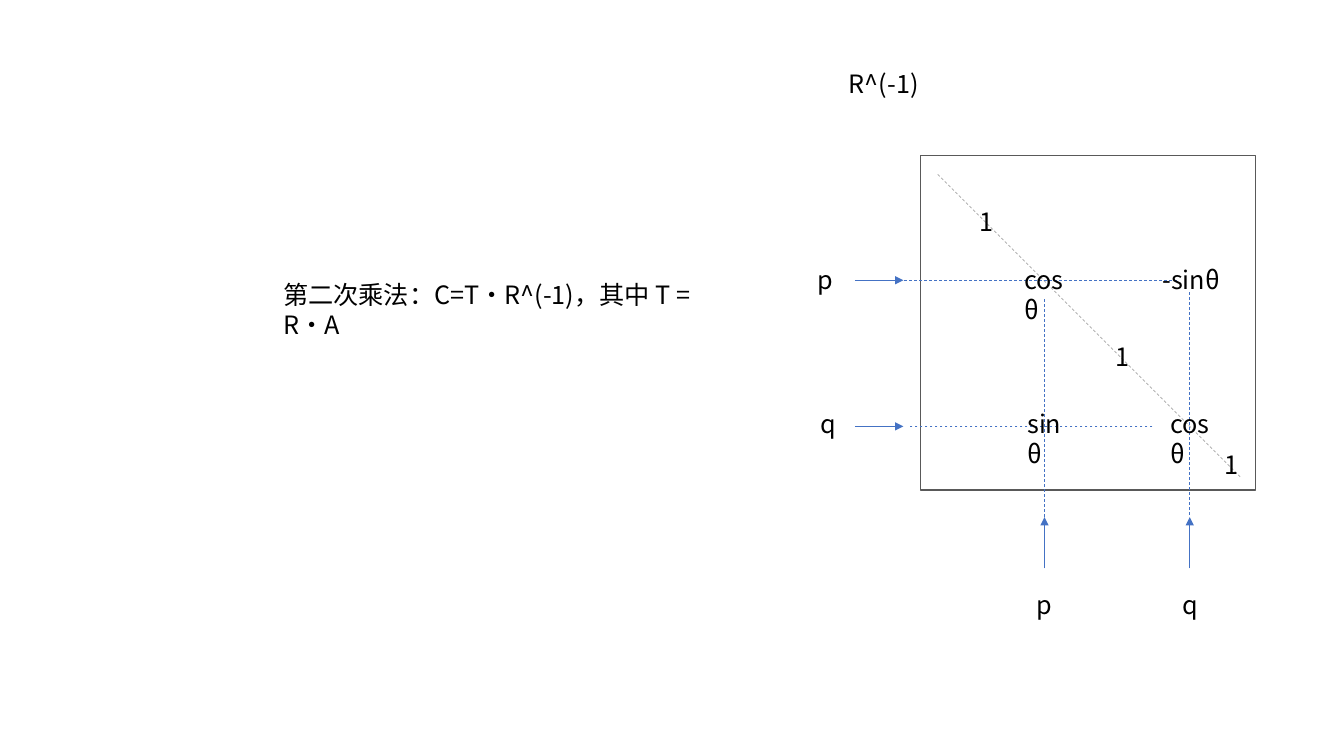
from dataclasses import dataclass

from lxml import etree
from pptx import Presentation
from pptx.dml.color import RGBColor
from pptx.enum.dml import MSO_LINE
from pptx.enum.shapes import MSO_CONNECTOR, MSO_SHAPE
from pptx.enum.text import MSO_AUTO_SIZE
from pptx.oxml.ns import qn
from pptx.util import Inches, Pt

DASH = MSO_LINE.DASH
STRAIGHT = MSO_CONNECTOR.STRAIGHT
RECT = MSO_SHAPE.RECTANGLE
GROW = MSO_AUTO_SIZE.SHAPE_TO_FIT_TEXT
BLANK = 6


@dataclass(frozen=True)
class Theme:
    """Colours, type and line widths of the slide."""
    font: str = "Noto Sans CJK SC"
    size: float = 18
    ink: str = "000000"
    frame: str = "595959"
    guide: str = "4472C4"
    diag: str = "A5A5A5"
    thin: float = 0.5
    edge: float = 1


THEME = Theme()

# Centre lines of the p and q columns and rows
COLS = {"p": 10.36, "q": 11.8}
ROWS = {"p": 2.78, "q": 4.23}
ARROW_X = (8.48, 8.96)
ARROW_Y = (5.64, 5.13)
ROW_TOPS = {"p": 2.57, "q": 4}
LABEL_H = 0.4

# Dashed guides: top of each column, both ends of each row
COL_TOPS = {"p": 2.97, "q": 2.9}
ROW_ENDS = {"p": (11.67, 8.96), "q": (11.43, 9)}

# Left, top, width and text
LABELS = [
    (2.71, 2.72, 4.57, "第二次乘法：C=T·R^(-1)，其中 T = R·A"),
    (8.32, 0.63, 0.92, "R^(-1)"),
    (10.18, 5.8, 0.35, "p"),
    (11.63, 5.8, 0.28, "q"),
    (8.01, ROW_TOPS["p"], 0.35, "p"),
    (8.04, ROW_TOPS["q"], 0.28, "q"),
    (10.06, ROW_TOPS["p"], 0.71, "cosθ"),
    (11.43, ROW_TOPS["p"], 0.77, "-sinθ"),
    (10.09, ROW_TOPS["q"], 0.64, "sinθ"),
    (11.51, ROW_TOPS["q"], 0.71, "cosθ"),
    (9.62, 2, 0.34, "1"),
    (10.97, 3.34, 0.34, "1"),
    (12.05, 4.41, 0.34, "1"),
]


def add_label(slide, left, top, width, text):
    """Add a wrapped text box with one run."""
    box = slide.shapes.add_textbox(
        Inches(left), Inches(top), Inches(width), Inches(LABEL_H))
    frame = box.text_frame
    frame.word_wrap = True
    frame.auto_size = GROW
    run = frame.paragraphs[0].add_run()
    run.text = text
    run.font.name = THEME.font
    run.font.size = Pt(THEME.size)
    run.font.color.rgb = RGBColor.from_string(THEME.ink)
    east = etree.SubElement(run.font._element, qn("a:ea"))
    east.set("typeface", THEME.font)


def add_line(slide, start, end, color=THEME.guide, dash=False, arrow=False):
    """Add a thin line, dashed or with a triangle at its end."""
    line = slide.shapes.add_connector(
        STRAIGHT, *(Inches(v) for v in (*start, *end)))
    line.line.width = Pt(THEME.thin)
    line.line.color.rgb = RGBColor.from_string(color)
    if dash:
        line.line.dash_style = DASH
    if arrow:
        tail = etree.SubElement(line.line._get_or_add_ln(), qn("a:tailEnd"))
        tail.set("type", "triangle")
    etree.SubElement(line._element.spPr, qn("a:effectLst"))


def add_frame(slide):
    """Add the square outline of the matrix and its diagonal."""
    box = slide.shapes.add_shape(
        RECT, Inches(9.13), Inches(1.54), Inches(3.32), Inches(3.32))
    box.shadow.inherit = False
    box.fill.background()
    box.line.color.rgb = RGBColor.from_string(THEME.frame)
    box.line.width = Pt(THEME.edge)
    add_line(slide, (9.3, 1.73), (12.3, 4.73), THEME.diag, dash=True)


def add_guides(slide):
    """Mark the p and q columns and rows with arrows and dashes."""
    low, high = ARROW_Y
    for key, x in COLS.items():
        add_line(slide, (x, low), (x, high), arrow=True)
        add_line(slide, (x, COL_TOPS[key]), (x, high), dash=True)
    left, right = ARROW_X
    for key, y in ROWS.items():
        start, end = ROW_ENDS[key]
        add_line(slide, (start, y), (end, y), dash=True)
        add_line(slide, (left, y), (right, y), arrow=True)


def main():
    """Build the slide and save it."""
    deck = Presentation()
    deck.slide_width = Inches(13.33)
    deck.slide_height = Inches(7.5)
    slide = deck.slides.add_slide(deck.slide_layouts[BLANK])
    add_frame(slide)
    add_guides(slide)
    for label in LABELS:
        add_label(slide, *label)
    deck.save("out.pptx")


main()
